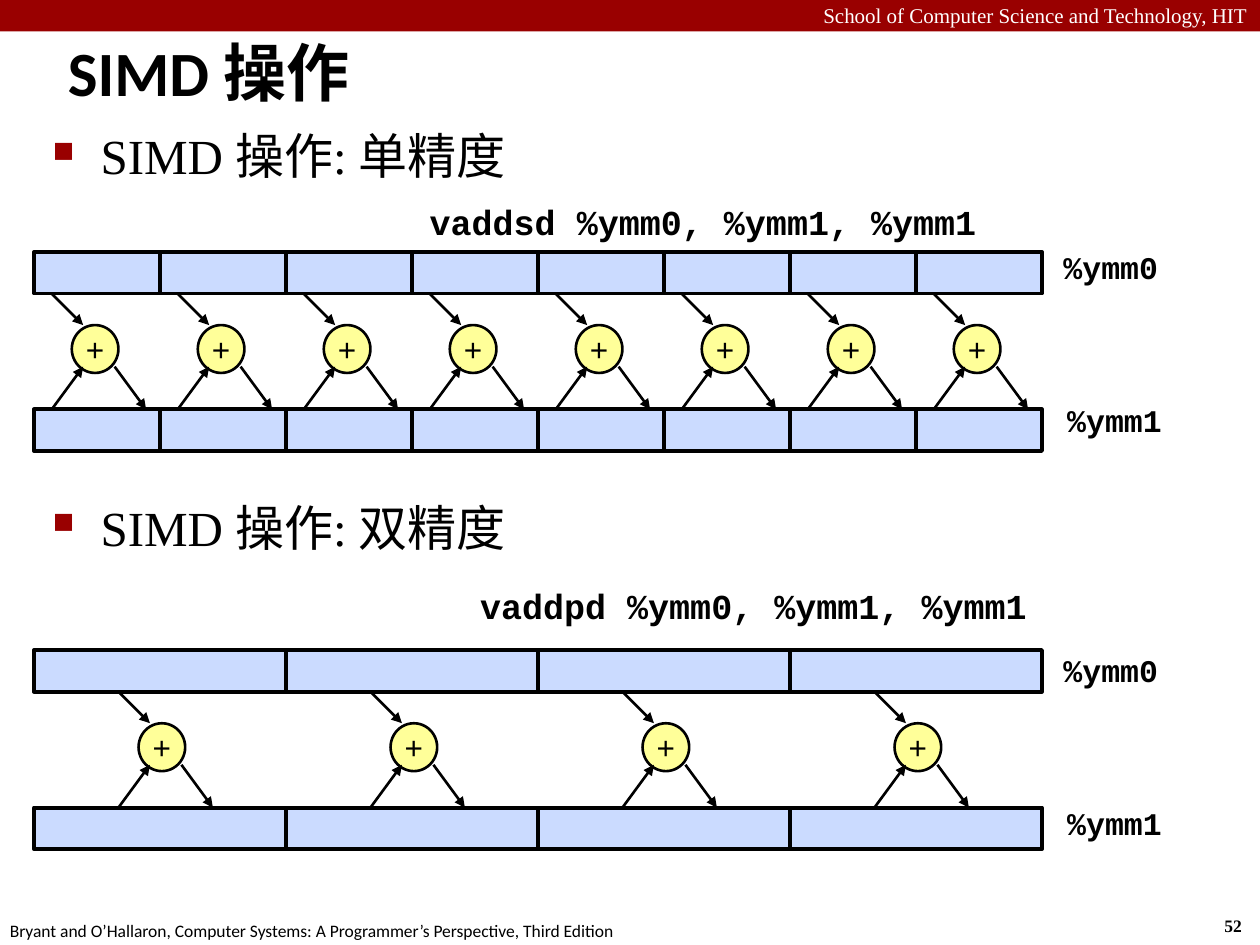
from dataclasses import dataclass

from lxml import etree
from pptx import Presentation
from pptx.dml.color import RGBColor
from pptx.enum import shapes, text
from pptx.oxml.ns import qn
from pptx.util import Inches, Pt

BLACK, WHITE, RED = "000000", "FFFFFF", "990000"
BLUE, YELLOW = "CBDBFF", "FFFF99"
SERIF, SANS, MONO = "Times New Roman", "Calibri", "Courier New"

REGISTER_LEFT, REGISTER_WIDTH, REGISTER_HEIGHT = 0.27, 8, 0.33
REGISTER_GAP = 1.25
CIRCLE_WIDTH, CIRCLE_HEIGHT, CIRCLE_DROP = 0.37, 0.38, 0.58


@dataclass
class Operation:
    heading: str
    heading_top: float
    instruction: str
    instruction_left: float
    instruction_top: float
    register_top: float
    label_top: float
    lanes: int
    arrow_inset: float


OPERATIONS = [
    Operation("SIMD 操作: 单精度", 0.95, "vaddsd %ymm0, %ymm1, %ymm1",
              3.36, 1.54, 2.0, 1.92, 8, 0.14),
    Operation("SIMD 操作: 双精度", 3.9, "vaddpd %ymm0, %ymm1, %ymm1",
              3.76, 4.59, 5.16, 5.12, 4, 0.67),
]


def colour(value: str) -> RGBColor:
    return RGBColor.from_string(value)


def write(box, content: str, *, size: float, font: str, color: str = BLACK,
          bold: bool = False, align=text.PP_ALIGN.LEFT,
          anchor=text.MSO_ANCHOR.TOP, wrap: bool = False,
          inset: float | None = None):
    """Fill a shape with one formatted paragraph and return it."""
    frame = box.text_frame
    frame.word_wrap = wrap
    frame.vertical_anchor = anchor
    if inset is not None:
        frame.margin_left = frame.margin_right = Inches(inset)
        frame.margin_top = frame.margin_bottom = Inches(inset)
    para = frame.paragraphs[0]
    para.alignment = align
    span = para.add_run()
    span.text = content
    span.font.size, span.font.name, span.font.bold = Pt(size), font, bold
    span.font.color.rgb = colour(color)
    return para


def add_text(parent, left: float, top: float, width: float, height: float,
             content: str, **style):
    box = parent.add_textbox(Inches(left), Inches(top), Inches(width), Inches(height))
    return write(box, content, **style)


def add_block(parent, kind, left: float, top: float, width: float, height: float,
              fill: str, line_width: float = 0):
    block = parent.add_shape(kind, Inches(left), Inches(top), Inches(width), Inches(height))
    block.shadow.inherit = False
    block.fill.solid()
    block.fill.fore_color.rgb = colour(fill)
    if line_width:
        block.line.color.rgb = colour(BLACK)
        block.line.width = Pt(line_width)
    else:
        block.line.fill.background()
    return block


def add_arrow(parent, x1: float, y1: float, x2: float, y2: float) -> None:
    arrow = parent.add_connector(shapes.MSO_CONNECTOR.STRAIGHT,
                                 Inches(x1), Inches(y1), Inches(x2), Inches(y2))
    arrow.line.color.rgb = colour(BLACK)
    arrow.line.width = Pt(1.5)
    etree.SubElement(arrow.line._get_or_add_ln(), qn("a:tailEnd"), type="triangle")
    etree.SubElement(arrow._element.spPr, qn("a:effectLst"))


def add_heading(parent, top: float, content: str) -> None:
    para = add_text(parent, 0.32, top, 9.09, 0.65, content, size=28, font=SERIF, wrap=True)
    para.space_before = Pt(5.6)
    properties = para._p.get_or_add_pPr()
    properties.set("marL", str(Inches(0.38)))
    properties.set("indent", str(-Inches(0.38)))
    bullet_colour = etree.SubElement(properties, qn("a:buClr"))
    etree.SubElement(bullet_colour, qn("a:srgbClr"), val=RED)
    etree.SubElement(properties, qn("a:buSzPct"), val="60000")
    etree.SubElement(properties, qn("a:buChar"), char="■")


def add_register(parent, top: float, lanes: int) -> None:
    width = REGISTER_WIDTH / lanes
    for lane in range(lanes):
        add_block(parent, shapes.MSO_SHAPE.RECTANGLE, REGISTER_LEFT + lane * width, top,
                  width, REGISTER_HEIGHT, BLUE, 2.25)


def add_adder(parent, left: float, top: float) -> None:
    """Draw a plus circle fed by both registers; left is where the inputs start."""
    circle_top = top + CIRCLE_DROP
    circle = add_block(parent, shapes.MSO_SHAPE.OVAL, left + 0.16, circle_top,
                       CIRCLE_WIDTH, CIRCLE_HEIGHT, YELLOW, 1.5)
    write(circle, "+", size=18, font=MONO, inset=0.05,
          align=text.PP_ALIGN.CENTER, anchor=text.MSO_ANCHOR.MIDDLE)
    bottom, joint = top + REGISTER_GAP, circle_top + 0.33
    add_arrow(parent, left, top + REGISTER_HEIGHT, left + 0.25, circle_top)
    add_arrow(parent, left, bottom, left + 0.25, joint)
    add_arrow(parent, left + 0.5, joint, left + 0.75, bottom)


def add_operation(page, operation: Operation) -> None:
    add_heading(page.shapes, operation.heading_top, operation.heading)
    diagram = page.shapes.add_group_shape().shapes
    code = dict(font=MONO, bold=True, inset=0.05)
    add_text(diagram, operation.instruction_left, operation.instruction_top, 4.48, 0.44,
             operation.instruction, size=20, **code)
    add_text(diagram, 8.39, operation.label_top, 1.11, 0.5, "%ymm0", size=18, **code)
    add_text(diagram, 8.42, operation.label_top + 1.21, 1.11, 0.5, "%ymm1", size=18, **code)
    for top in (operation.register_top, operation.register_top + REGISTER_GAP):
        add_register(diagram, top, operation.lanes)
    for lane in range(operation.lanes):
        left = REGISTER_LEFT + lane * REGISTER_WIDTH / operation.lanes
        add_adder(diagram, left + operation.arrow_inset, operation.register_top)


deck = Presentation()
deck.slide_width, deck.slide_height = Inches(10), Inches(7.5)
page = deck.slides.add_slide(deck.slide_layouts[6])

# Header band and footer
add_block(page.shapes, shapes.MSO_SHAPE.RECTANGLE, 0, 0, 10, 0.25, RED)
add_text(page.shapes, 0, -0.03, 10, 0.3, "School of Computer Science and Technology, HIT",
         size=12, font=SERIF, color=WHITE, align=text.PP_ALIGN.RIGHT, wrap=True)
add_text(page.shapes, 9.62, 7.21, 0.37, 0.27, "52", size=10, font=SERIF, bold=True)
add_text(page.shapes, -0.02, 7.25, 5.08, 0.27,
         "Bryant and O’Hallaron, Computer Systems: A Programmer’s Perspective, Third Edition",
         size=10, font=SANS)

# Title
add_text(page.shapes, 0.44, 0.14, 9.53, 0.85, "SIMD 操作", size=36, font=SANS, bold=True,
         anchor=text.MSO_ANCHOR.MIDDLE, wrap=True)

# One heading and diagram per precision
for operation in OPERATIONS:
    add_operation(page, operation)

deck.save("out.pptx")
